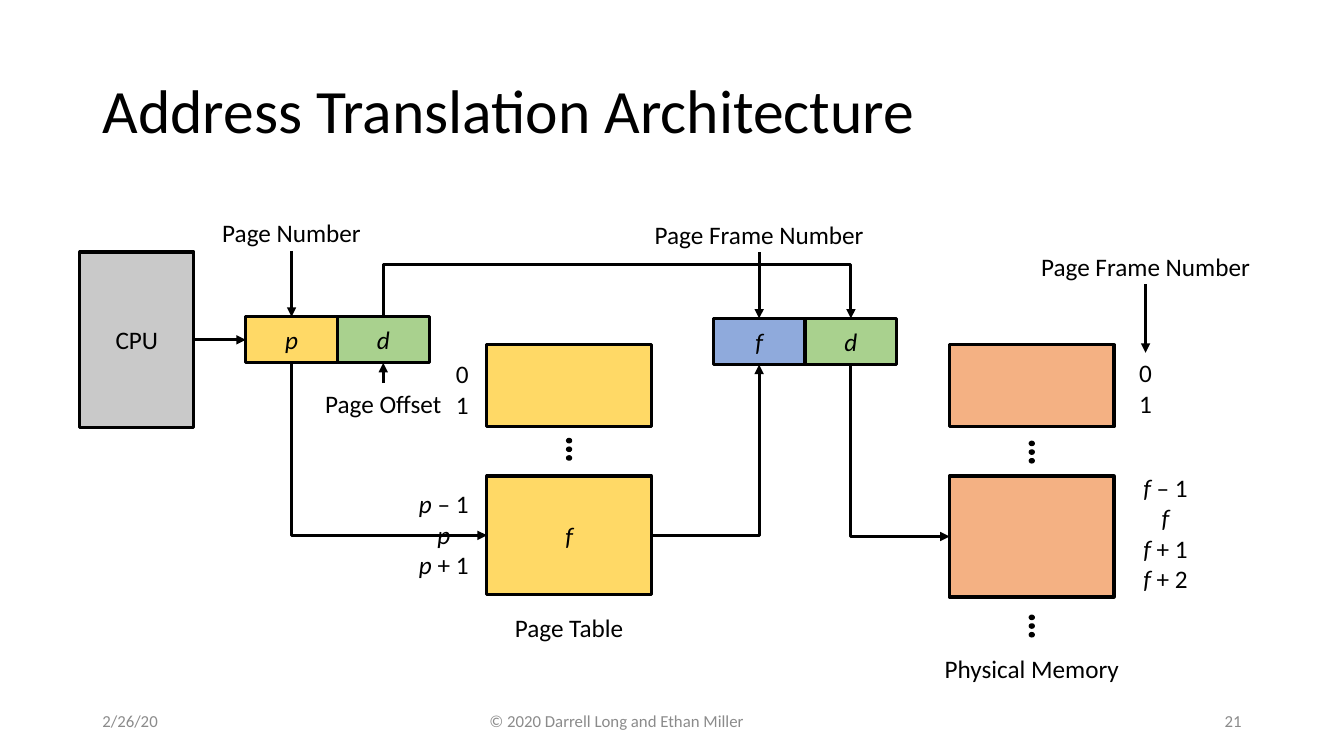
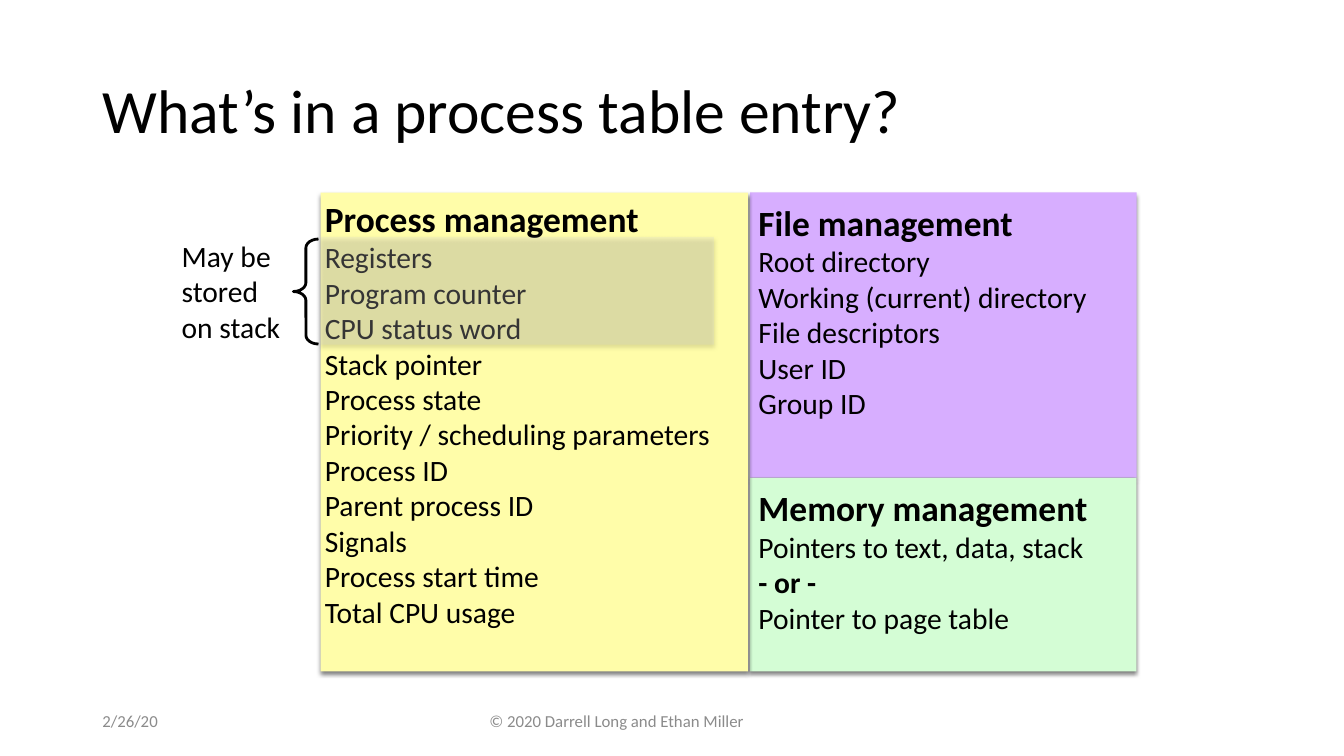
from lxml import etree
from pptx import Presentation
from pptx.dml.color import RGBColor
from pptx.enum.shapes import MSO_CONNECTOR as CXN, MSO_SHAPE as SHAPE
from pptx.enum.text import MSO_ANCHOR as ANCHOR, MSO_AUTO_SIZE, PP_ALIGN as ALIGN
from pptx.oxml import parse_xml
from pptx.oxml.ns import nsdecls, qn
from pptx.util import Pt

BLACK = RGBColor(0x00, 0x00, 0x00)
FOOTER_GRAY = RGBColor(0x8B, 0x8B, 0x8B)
CPU_GRAY = RGBColor(0xC9, 0xC9, 0xC9)
YELLOW = RGBColor(0xFF, 0xD9, 0x66)
GREEN = RGBColor(0xA9, 0xD1, 0x8E)
BLUE = RGBColor(0x8F, 0xAA, 0xDC)
ORANGE = RGBColor(0xF4, 0xB1, 0x83)
PALE_YELLOW = RGBColor(0xFF, 0xFD, 0xA9)
PALE_GREEN = RGBColor(0xD4, 0xFD, 0xD5)
LILAC = RGBColor(0xD7, 0xAE, 0xFF)
VEIL_GRAY = RGBColor(0xD6, 0xD6, 0xD6)

TOP, LEFT, BOTTOM, RIGHT = range(4)
SHADOW = (
    f'<a:effectLst {nsdecls("a")}><a:outerShdw blurRad="{Pt(3)}" dist="{Pt(2)}" '
    'dir="5400000" rotWithShape="0"><a:srgbClr val="000000"><a:alpha val="50000"/>'
    '</a:srgbClr></a:outerShdw></a:effectLst>'
)


def write(tf, paras, size=18, color=BLACK, align=ALIGN.CENTER, anchor=ANCHOR.TOP, inset=None):
    """Fill a text frame; a paragraph is a string or (italic variable, plain rest)."""
    tf.word_wrap = True
    tf.auto_size = MSO_AUTO_SIZE.NONE
    tf.vertical_anchor = anchor
    if inset is not None:
        for side in ("left", "top", "right", "bottom"):
            setattr(tf, f"margin_{side}", Pt(inset))
    for i, para in enumerate(paras):
        p = tf.paragraphs[0] if i == 0 else tf.add_paragraph()
        p.alignment = align
        if isinstance(para, str):
            p.text = para
        else:
            for text, italic in zip(para, (True, False)):
                r = p.add_run()
                r.text = text
                r.font.italic = italic
        for r in p.runs:
            for name, value in {"name": "Calibri", "size": Pt(size)}.items():
                setattr(r.font, name, value)
            r.font.color.rgb = color


def box(s, x, y, w, h, fill=None, line=None, kind=SHAPE.RECTANGLE):
    sp = s.shapes.add_shape(kind, Pt(x), Pt(y), Pt(w), Pt(h))
    sp.shadow.inherit = False
    if fill is None:
        sp.fill.background()
    else:
        sp.fill.solid()
        sp.fill.fore_color.rgb = fill
    if line is None:
        sp.line.fill.background()
    else:
        sp.line.color.rgb = BLACK
        sp.line.width = Pt(line)
    return sp


prs = Presentation()
prs.slide_width, prs.slide_height = Pt(960), Pt(540)

# Title and footers
slides = []
for title, number in (
    ("Address Translation Architecture", "21"),
    ("What’s in a process table entry?", None),
):
    s = prs.slides.add_slide(prs.slide_layouts[5])
    slides.append(s)
    sp = s.shapes.title
    sp.left, sp.top, sp.width, sp.height = Pt(66), Pt(28.75), Pt(828), Pt(104.5)
    write(sp.text_frame, [title], 44, align=ALIGN.LEFT, anchor=ANCHOR.MIDDLE)
    sp.text_frame.paragraphs[0].line_spacing = 0.9
    for text, x, w, align in (
        ("2/26/20", 66, 137, ALIGN.LEFT),
        ("© 2020 Darrell Long and Ethan Miller", 238.5, 404, ALIGN.CENTER),
        (number, 678, 216, ALIGN.RIGHT),
    ):
        if text:
            tb = s.shapes.add_textbox(Pt(x), Pt(500.5), Pt(w), Pt(28.75))
            write(tb.text_frame, [text], 12, FOOTER_GRAY, align, ANCHOR.MIDDLE)

# Address translation: boxes
s = slides[0]
nodes = {}
for name, x, y, w, h, fill, text in (
    ("cpu", 57, 180, 81.5, 125.5, CPU_GRAY, "CPU"),
    ("page", 175.5, 226.25, 65.5, 33, YELLOW, ("p",)),
    ("offset", 241, 226.25, 65.5, 33, GREEN, ("d",)),
    ("table start", 347.75, 246.25, 117.5, 58.5, YELLOW, None),
    ("table entry", 347.75, 340, 117.5, 84.75, YELLOW, ("f",)),
    ("frame", 509.5, 227.5, 65.5, 33, BLUE, ("f",)),
    ("frame offset", 575, 227.5, 65.5, 33, GREEN, ("d",)),
    ("memory start", 678.25, 246.25, 117.5, 58.5, ORANGE, None),
    ("memory frame", 678.25, 340, 117.5, 86.5, ORANGE, None),
):
    nodes[name] = box(s, x, y, w, h, fill, 2.25)
    if text:
        write(nodes[name].text_frame, [text], anchor=ANCHOR.MIDDLE)

# Labels, centred on cx
for name, cx, y, w, h, paras in (
    ("page label", 208.25, 152, 118, 27.25, ["Page Number"]),
    ("offset label", 273.75, 273.75, 118, 27.25, ["Page Offset"]),
    ("frame label", 542.25, 152.75, 170, 27.25, ["Page Frame Number"]),
    ("memory label", 818.25, 175.75, 170, 27.25, ["Page Frame Number"]),
    ("table name", 406.5, 434, 96.5, 27.25, ["Page Table"]),
    ("memory name", 737, 463, 148.5, 27.25, ["Physical Memory"]),
    ("table indexes", 330.25, 252.75, 29.5, 48, ["0", "1"]),
    ("memory indexes", 818.25, 252, 29.5, 48, ["0", "1"]),
    ("entry indexes", 317, 345.5, 52, 124.5, [("p", " – 1"), ("p",), ("p", " + 1")]),
    ("frame indexes", 832.5, 334, 52, 172,
     [("f", " – 1"), ("f",), ("f", " + 1"), ("f", " + 2")]),
):
    nodes[name] = s.shapes.add_textbox(Pt(cx - w / 2), Pt(y), Pt(w), Pt(h))
    write(nodes[name].text_frame, paras)

# Vertical ellipses
for cx, top in ((406.5, 313.25), (737, 315.25), (737, 439.5)):
    for i in range(3):
        box(s, cx - 1.75, top + 6.2 * i, 3.5, 3, BLACK, 1, SHAPE.OVAL)

# Arrows: opposite sides give a straight one, other pairs a bent one
for start, i, end, j in (
    ("cpu", RIGHT, "page", LEFT),
    ("page label", BOTTOM, "page", TOP),
    ("offset label", TOP, "offset", BOTTOM),
    ("frame label", BOTTOM, "frame", TOP),
    ("memory label", BOTTOM, "memory indexes", TOP),
    ("page", BOTTOM, "table entry", LEFT),
    ("table entry", RIGHT, "frame", BOTTOM),
    ("frame offset", BOTTOM, "memory frame", LEFT),
    ("offset", TOP, "frame offset", TOP),
):
    bent = abs(i - j) != 2
    c = s.shapes.add_connector(CXN.ELBOW if bent else CXN.STRAIGHT, 0, 0, 0, 0)
    c.begin_connect(nodes[start], i)
    c.end_connect(nodes[end], j)
    c.line.color.rgb = BLACK
    c.line.width = Pt(2.25)
    spPr = c._element.spPr
    etree.SubElement(c.line._get_or_add_ln(), qn("a:tailEnd"), type="triangle")
    etree.SubElement(spPr, qn("a:effectLst"))
    if not bent:
        continue
    geom = spPr.find(qn("a:prstGeom"))
    if i != j:
        geom.set("prst", "bentConnector2")
    if i in (TOP, BOTTOM):  # leaves vertically: turn the frame a quarter
        dx, dy = c.width, c.height
        c.left, c.top = c.left + (dx - dy) // 2, c.top + (dy - dx) // 2
        c.width, c.height = dy, dx
        xfrm = spPr.find(qn("a:xfrm"))
        xfrm.set("rot", "16200000")
        xfrm.set("flipH", "1")
    if i == j:  # rise above both boxes
        rise = round(-100000 * Pt(37.5) / c.width)
        etree.SubElement(geom.find(qn("a:avLst")), qn("a:gd"), name="adj1", fmla=f"val {rise}")

# Process table entry: panels
s = slides[1]
for x, y, w, h, fill, inset, lines in (
    (535.75, 137.5, 276.25, 203.75, LILAC, 6,
     ["File management", "Root directory", "Working (current) directory",
      "File descriptors", "User ID", "Group ID"]),
    (535.75, 341.25, 276, 138.25, PALE_GREEN, 6,
     ["Memory management", "Pointers to text, data, stack", "- or -",
      "Pointer to page table"]),
    (229, 137.5, 305.25, 342, PALE_YELLOW, 3,
     ["Process management", "Registers", "Program counter", "CPU status word",
      "Stack pointer", "Process state", "Priority / scheduling parameters",
      "Process ID", "Parent process ID", "Signals", "Process start time",
      "Total CPU usage"]),
    (229, 169.25, 281, 77, VEIL_GRAY, 3, []),
):
    sp = box(s, x, y, w, h, fill)
    spPr = sp._element.spPr
    spPr.replace(spPr.find(qn("a:effectLst")), parse_xml(SHADOW))
    if not lines:
        rgb = spPr.find(qn("a:solidFill")).find(qn("a:srgbClr"))
        etree.SubElement(rgb, qn("a:alpha"), val="25000")
        continue
    write(sp.text_frame, lines, 21.1, align=ALIGN.LEFT, inset=inset)
    for p in sp.text_frame.paragraphs:
        p.runs[0].font.bold = p.text in (lines[0], "- or -")
    sp.text_frame.paragraphs[0].runs[0].font.size = Pt(25.3)

# Note on the stacked registers
brace = box(s, 209.5, 170.75, 18, 75, line=2, kind=SHAPE.LEFT_BRACE)
brace.adjustments[0] = 0.35
note = s.shapes.add_textbox(Pt(126.75), Pt(167), Pt(77), Pt(82))
write(note.text_frame, ["May be\vstored\von stack"], 21.1, align=ALIGN.LEFT,
      anchor=ANCHOR.MIDDLE, inset=3)
note.text_frame.word_wrap = False

prs.save("out.pptx")
